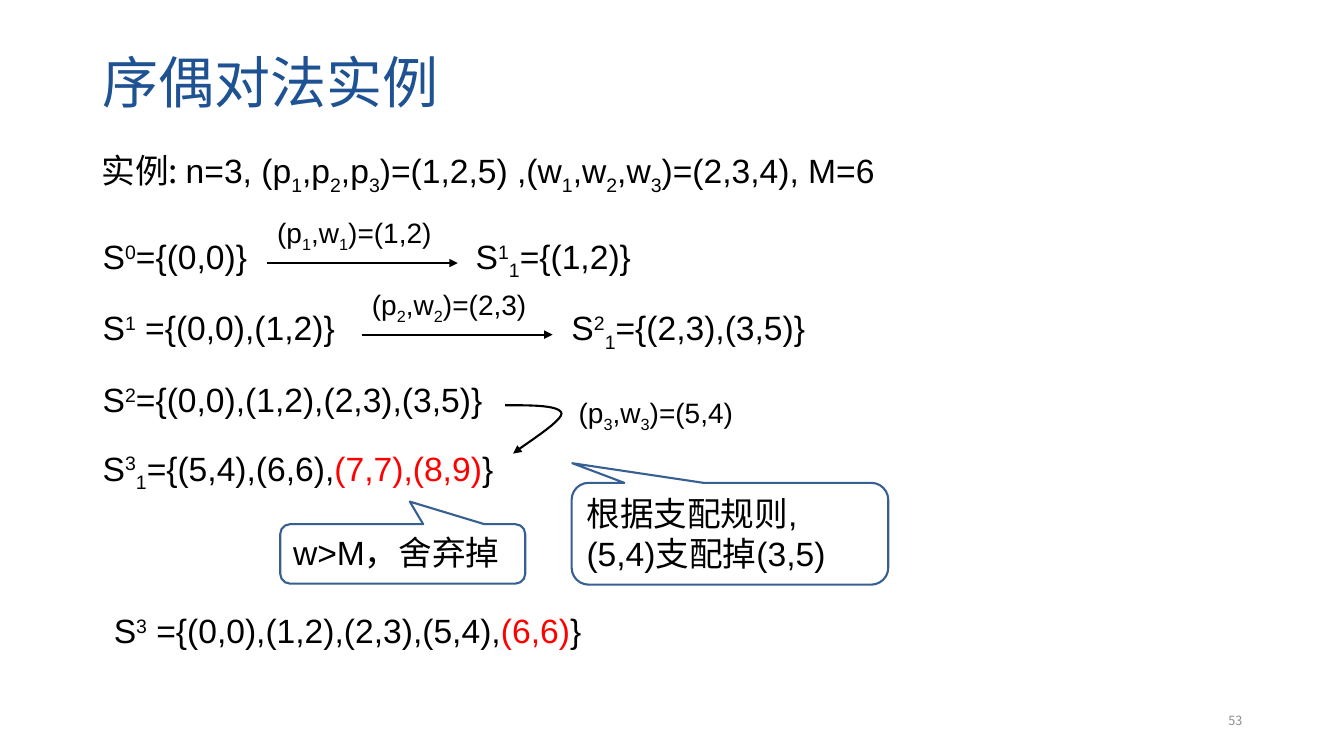
from lxml import etree
from pptx import Presentation
from pptx import util as u
from pptx.dml.color import RGBColor
from pptx.enum import shapes, text
from pptx.oxml.ns import qn

# Markup: _x subscript, ^x superscript, *...* red, ~...~ Chinese font
TITLE = "序偶对法实例"
PROBLEM = "~实例: ~n=3, (p_1,p_2,p_3)=(1,2,5) ,(w_1,w_2,w_3)=(2,3,4), M=6"
SETS = [  # left, top, width, text
    (0.92, 2.29, 1.89, "S^0={(0,0)}"),
    (4.62, 2.29, 2.13, "S^1_1={(1,2)}"),
    (0.92, 3, 2.83, "S^1 ={(0,0),(1,2)}"),
    (5.57, 3, 2.83, "S^2_1={(2,3),(3,5)}"),
    (0.92, 3.71, 5.09, "S^2={(0,0),(1,2),(2,3),(3,5)}"),
    (0.92, 4.39, 4.57, "S^3_1={(5,4),(6,6),*(7,7),(8,9)*}"),
    (1.03, 6, 5.91, "S^3 ={(0,0),(1,2),(2,3),(5,4),*(6,6)*}"),
]
STEPS = [  # left, top, label above a straight arrow
    (2.65, 2.09, "(p_1,w_1)=(1,2)"),
    (3.59, 2.8, "(p_2,w_2)=(2,3)"),
]
LAST_STEP = (5.64, 3.87, "(p_3,w_3)=(5,4)")
HOOK = [  # Bézier pieces of the curved arrow
    [(5.01, 4.02), (5.28, 4.02), (5.55, 4.02), (5.57, 4.1)],
    [(5.57, 4.1), (5.58, 4.18), (5.17, 4.43), (5.09, 4.5)],
]
CALLOUTS = [  # box, pointer tip, text
    ((2.78, 5.2, 2.43, 0.59), (0.029, -0.879), "w>M，~舍弃掉~"),
    ((5.67, 4.79, 3.14, 1.01), (-0.498, -0.693), "根据支配规则, (5,4)支配掉(3,5)"),
]
PAGE = "53"
COLORS = {"title": "1E5293", "ink": "000000", "red": "FF0000",
          "callout": "376092", "white": "FFFFFF", "page": "8C8C8C"}
LATIN, CJK = "Arial", "Noto Sans CJK SC"
STEP_W, ARROW_W, ARROW_DROP = 1.97, 1.89, 0.52


def rgb(name):
    return RGBColor.from_string(COLORS[name])


def split_markup(marked):
    """Return [text, baseline, is_red, is_cjk] for each run of marked text."""
    runs, red, cjk, base = [], False, False, 0
    for ch in marked:
        if ch == "*":
            red = not red
        elif ch == "~":
            cjk = not cjk
        elif ch in "_^":
            base = -25000 if ch == "_" else 30000
        else:
            if runs and runs[-1][1:] == [base, red, cjk]:
                runs[-1][0] += ch
            else:
                runs.append([ch, base, red, cjk])
            base = 0
    return runs


def write(tf, marked, size=24, color="ink", align=text.PP_ALIGN.LEFT,
          anchor=text.MSO_ANCHOR.TOP):
    tf.word_wrap = True
    tf.vertical_anchor = anchor
    p = tf.paragraphs[0]
    p.alignment = align
    for content, base, red, cjk in split_markup(marked):
        r = p.add_run()
        r.text = content
        r.font.size = u.Pt(size)
        r.font.name = CJK if cjk else LATIN
        r.font.color.rgb = rgb("red" if red else color)
        rpr = r.font._element
        etree.SubElement(rpr, qn("a:ea")).set("typeface", CJK)
        if base:
            rpr.set("baseline", str(base))
    return p


def add_text(s, box, marked, **style):
    sp = s.shapes.add_textbox(*map(u.Inches, box))
    return write(sp.text_frame, marked, **style)


def style_arrow(sp):
    sp.line.color.rgb = rgb("ink")
    sp.line.width = u.Pt(1.5)
    etree.SubElement(sp.line._get_or_add_ln(), qn("a:tailEnd")).set("type", "triangle")


def bezier(points, t):
    """Return the point at t on a cubic curve, in EMU."""
    weights = ((1 - t) ** 3, 3 * t * (1 - t) ** 2, 3 * t * t * (1 - t), t ** 3)
    return tuple(u.Inches(sum(w * pt[i] for w, pt in zip(weights, points)))
                 for i in (0, 1))


def add_hook(s, steps=12):
    curve = [bezier(piece, k / steps) for piece in HOOK for k in range(1, steps + 1)]
    builder = s.shapes.build_freeform(*bezier(HOOK[0], 0))
    builder.add_line_segments(curve, close=False)
    sp = builder.convert_to_shape()
    sp.shadow.inherit = False
    sp.fill.background()
    style_arrow(sp)


def add_callout(s, box, tip, marked):
    sp = s.shapes.add_shape(shapes.MSO_SHAPE.ROUNDED_RECTANGULAR_CALLOUT,
                            *map(u.Inches, box))
    sp.adjustments[0], sp.adjustments[1] = tip
    sp.shadow.inherit = False
    sp.fill.solid()
    sp.fill.fore_color.rgb = rgb("white")
    sp.line.color.rgb = rgb("callout")
    sp.line.width = u.Pt(1.5)
    write(sp.text_frame, marked)


def main():
    prs = Presentation()
    prs.slide_width, prs.slide_height = u.Inches(13.33), u.Inches(7.5)
    s = prs.slides.add_slide(prs.slide_layouts[6])

    p = add_text(s, (0.92, 0.29, 9, 1.12), TITLE, size=40, color="title",
                 anchor=text.MSO_ANCHOR.MIDDLE)
    p.line_spacing = 0.9
    add_text(s, (0.91, 1.44, 9.11, 0.51), PROBLEM)
    for x, y, w, marked in SETS:
        add_text(s, (x, y, w, 0.5), marked)

    for x, y, marked in STEPS + [LAST_STEP]:
        add_text(s, (x, y, STEP_W, 0.44), marked, size=20)
    for x, y, _ in STEPS:
        ends = (x, y + ARROW_DROP, x + ARROW_W, y + ARROW_DROP)
        cx = s.shapes.add_connector(shapes.MSO_CONNECTOR.STRAIGHT, *map(u.Inches, ends))
        style_arrow(cx)
        etree.SubElement(cx._element.spPr, qn("a:effectLst"))
    add_hook(s)

    for box, tip, marked in CALLOUTS:
        add_callout(s, box, tip, marked)
    add_text(s, (9.42, 6.95, 3, 0.4), f"~{PAGE}~", size=9, color="page",
             align=text.PP_ALIGN.RIGHT, anchor=text.MSO_ANCHOR.MIDDLE)
    prs.save("out.pptx")


if __name__ == "__main__":
    main()
